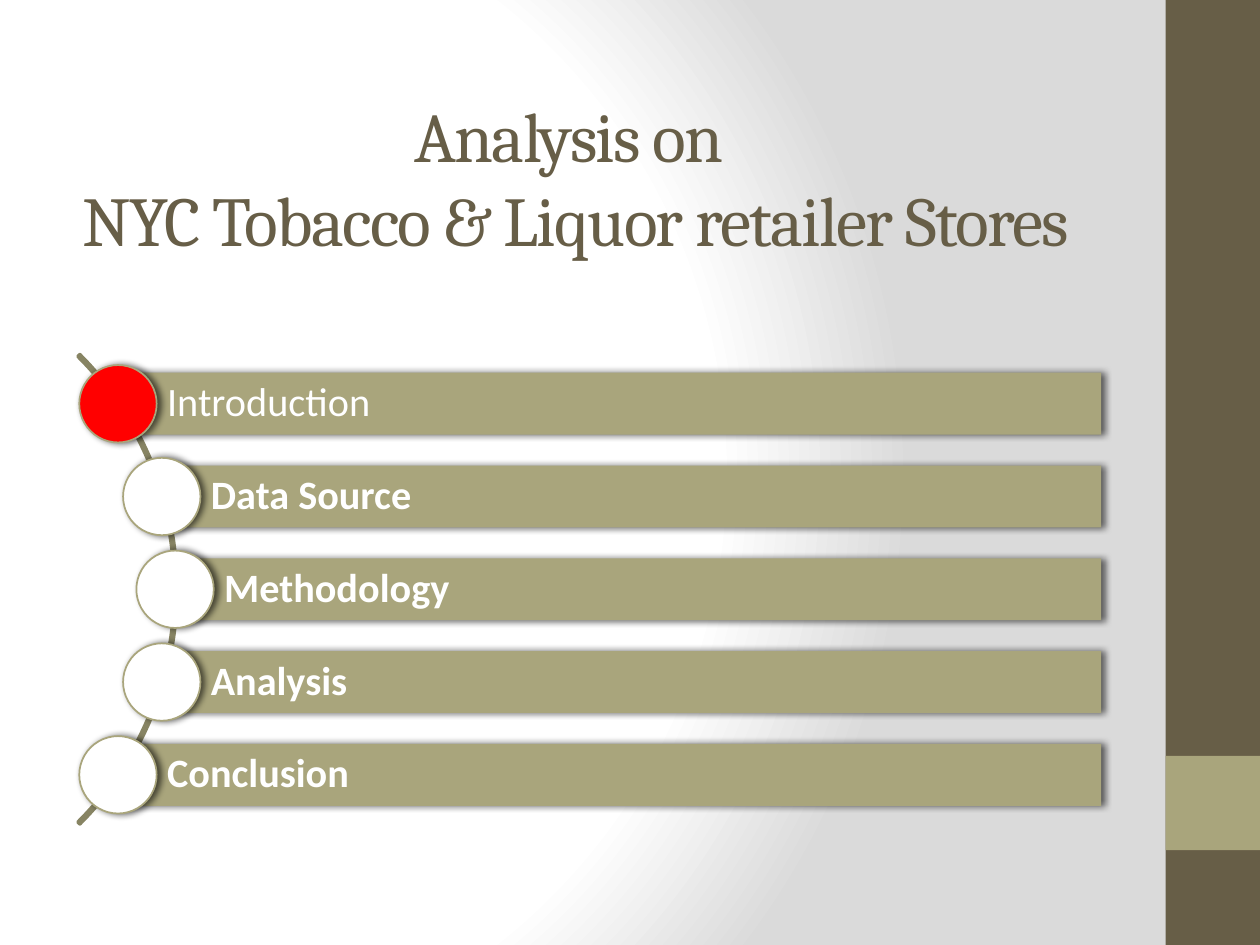
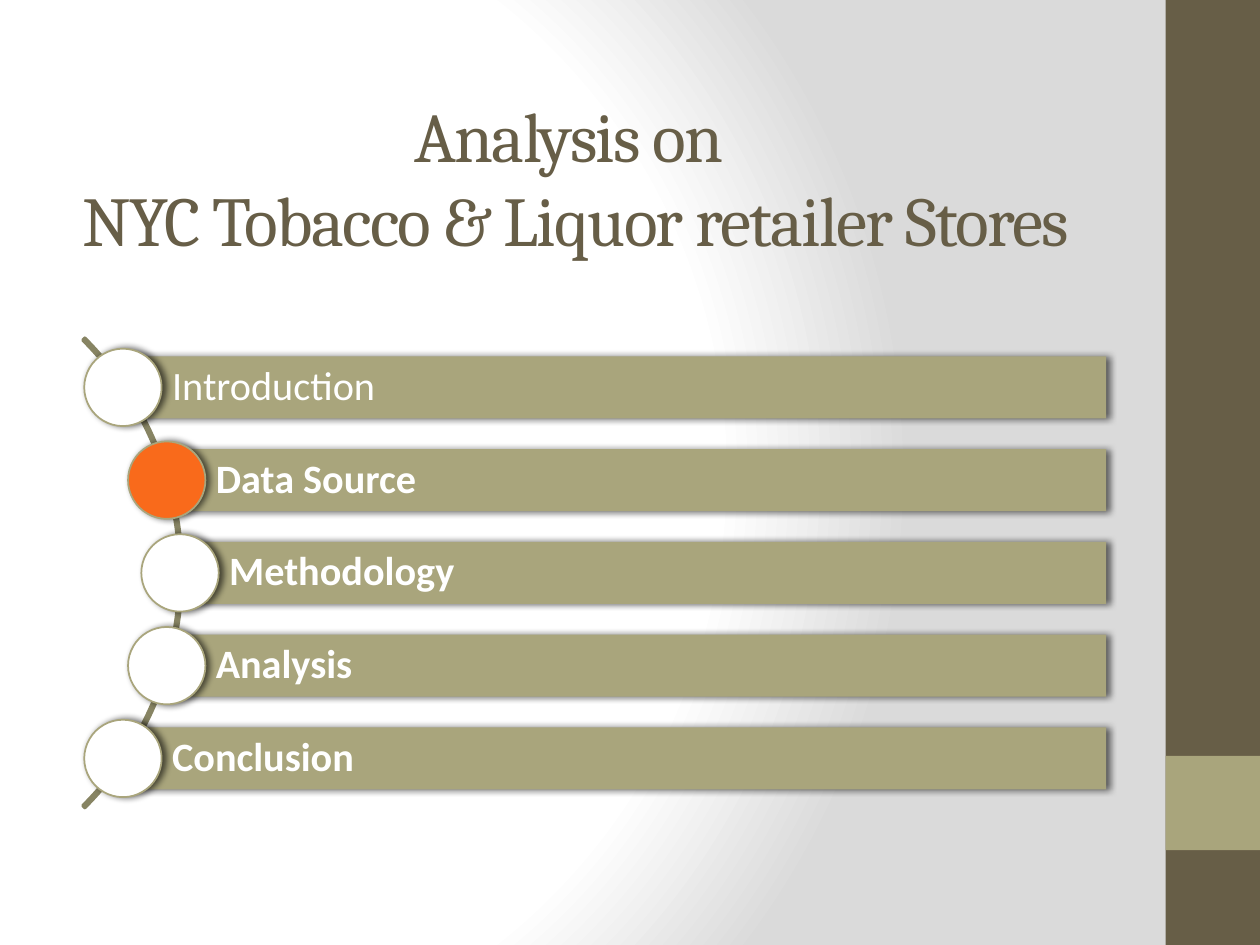
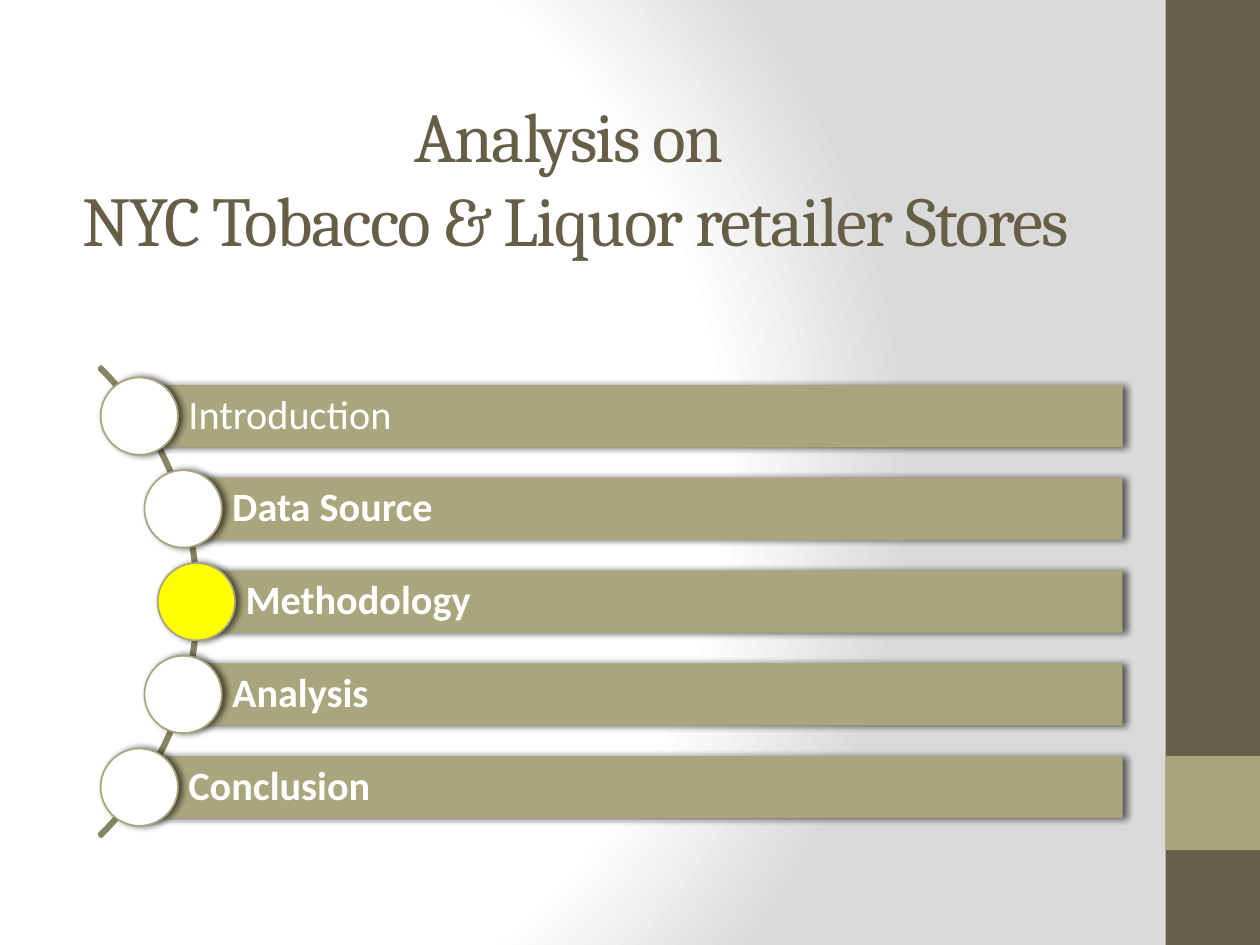
from math import sqrt

from pptx import Presentation
from pptx.dml.color import RGBColor
from pptx.enum.shapes import MSO_SHAPE
from pptx.enum.text import MSO_ANCHOR, PP_ALIGN
from pptx.oxml import parse_xml
from pptx.oxml.ns import nsdecls, qn
from pptx.util import Cm, Pt

WHITE = RGBColor(0xFF, 0xFF, 0xFF)
GREY = RGBColor(0xDA, 0xDA, 0xDA)
BROWN = RGBColor(0x67, 0x5E, 0x47)
OLIVE = RGBColor(0xA9, 0xA5, 0x7C)
DARK_OLIVE = RGBColor(0x87, 0x84, 0x63)
RED = RGBColor(0xFF, 0x00, 0x00)
ORANGE = RGBColor(0xF9, 0x6A, 0x1B)
YELLOW = RGBColor(0xFF, 0xFF, 0x00)

PAGE_WIDTH, PAGE_HEIGHT = 25.4, 19.05
TITLE = "Analysis on \vNYC Tobacco & Liquor retailer Stores"
TITLE_BOX = (0.46, 1.3, 22.3, 4.52)
SIDE_BOX = (23.5, 0, 1.9, PAGE_HEIGHT)
TOPICS = ["Introduction", "Data Source", "Methodology", "Analysis", "Conclusion"]

AGENDA_WIDTH = 20.6
ROW_PITCH = 1.87
BAR_HEIGHT = 1.25
DOT_SIZE = 1.56
ARC_SIZE = 13.38
ARC_CENTRE = -4.72
DOT_ORBIT = 6.65


def add_plain_shape(shapes, kind, box, fill=None, line=None, line_width=1):
    """Add a shape without shadow, with the given fill and line."""
    shape = shapes.add_shape(kind, *(Cm(length) for length in box))
    shape.shadow.inherit = False
    if fill is None:
        shape.fill.background()
    else:
        shape.fill.solid()
        shape.fill.fore_color.rgb = fill
    if line is None:
        shape.line.fill.background()
    else:
        shape.line.color.rgb = line
        shape.line.width = Pt(line_width)
    return shape


def add_soft_shadow(shape):
    """Cast a soft black shadow to the right of the shape."""
    shape.element.spPr.find(qn("a:effectLst")).append(parse_xml(
        f'<a:outerShdw {nsdecls("a")} blurRad="{Pt(4)}" dist="{Pt(2)}" dir="0" '
        'rotWithShape="0"><a:srgbClr val="000000"><a:alpha val="60000"/>'
        '</a:srgbClr></a:outerShdw>'))


def style_span(span, name, size, color, bold=False):
    """Set the font of a run."""
    span.font.name = name
    span.font.size = Pt(size)
    span.font.color.rgb = color
    span.font.bold = bold


def add_background(page):
    """Fill the page with a round gradient from white to grey."""
    stops = "".join(
        f'<a:gs pos="{position * 1000}"><a:srgbClr val="{color}"/></a:gs>'
        for position, color in [(0, WHITE), (75, WHITE), (100, GREY)])
    page.element.cSld.insert(0, parse_xml(
        f'<p:bg {nsdecls("p", "a")}><p:bgPr><a:gradFill rotWithShape="1">'
        f'<a:gsLst>{stops}</a:gsLst><a:path path="circle">'
        '<a:fillToRect l="20000" t="50000" r="100000" b="50000"/></a:path>'
        '</a:gradFill><a:effectLst/></p:bgPr></p:bg>'))


def add_side_band(page, box):
    """Draw the brown band with its olive square."""
    left, top, width, height = box
    add_plain_shape(page.shapes, MSO_SHAPE.RECTANGLE, box, BROWN)
    square = (left, top + height * 0.8, width, width)
    add_plain_shape(page.shapes, MSO_SHAPE.RECTANGLE, square, OLIVE)


def add_title(page, box):
    """Write the deck title, centred in its box."""
    frame = page.shapes.add_textbox(*(Cm(length) for length in box)).text_frame
    frame.word_wrap = True
    frame.vertical_anchor = MSO_ANCHOR.MIDDLE
    para = frame.paragraphs[0]
    para.text = TITLE
    para.alignment = PP_ALIGN.CENTER
    for span in para.runs:
        style_span(span, "Cambria", 40, BROWN)
        span.font._element.set("spc", "-100")


def add_bar(shapes, box, topic, bold):
    """Draw one topic bar with its label."""
    bar = add_plain_shape(shapes, MSO_SHAPE.RECTANGLE, box, OLIVE)
    add_soft_shadow(bar)
    frame = bar.text_frame
    frame.text = topic
    frame.word_wrap = True
    frame.vertical_anchor = MSO_ANCHOR.MIDDLE
    frame.margin_left = Cm(0.99)
    frame.margin_top = frame.margin_right = frame.margin_bottom = Cm(0.15)
    para = frame.paragraphs[0]
    para.alignment = PP_ALIGN.LEFT
    para.line_spacing = 0.9
    style_span(para.runs[0], "Calibri", 23, WHITE, bold)


def add_agenda(page, left, top, current, highlight):
    """Draw the topics along an arc and colour the dot of the current one."""
    shapes = page.shapes.add_group_shape().shapes
    centre_x = left + ARC_CENTRE
    centre_y = top + DOT_SIZE / 2 + ROW_PITCH * (len(TOPICS) - 1) / 2
    arc_box = (centre_x - ARC_SIZE / 2, centre_y - ARC_SIZE / 2, ARC_SIZE, ARC_SIZE)
    arc = add_plain_shape(shapes, MSO_SHAPE.BLOCK_ARC, arc_box, line=DARK_OLIVE, line_width=2)
    for index, value in enumerate((189, 27, 0.004)):
        arc.adjustments[index] = value

    for row, topic in enumerate(TOPICS):
        dot_y = top + DOT_SIZE / 2 + row * ROW_PITCH
        dot_x = centre_x + sqrt(DOT_ORBIT ** 2 - (dot_y - centre_y) ** 2)
        bar_box = (dot_x, dot_y - BAR_HEIGHT / 2, left + AGENDA_WIDTH - dot_x, BAR_HEIGHT)
        add_bar(shapes, bar_box, topic, bold=row > 0)
        dot_box = (dot_x - DOT_SIZE / 2, dot_y - DOT_SIZE / 2, DOT_SIZE, DOT_SIZE)
        fill = highlight if topic == current else WHITE
        add_soft_shadow(add_plain_shape(shapes, MSO_SHAPE.OVAL, dot_box, fill, OLIVE))


def add_agenda_page(deck, left, top, current, highlight):
    """Add a page with the title and the agenda."""
    page = deck.slides.add_slide(deck.slide_layouts[6])
    add_background(page)
    add_side_band(page, SIDE_BOX)
    add_title(page, TITLE_BOX)
    add_agenda(page, left, top, current, highlight)


def main():
    """Build and save the deck."""
    deck = Presentation()
    deck.slide_width, deck.slide_height = Cm(PAGE_WIDTH), Cm(PAGE_HEIGHT)
    add_agenda_page(deck, 1.6, 7.36, "Introduction", RED)
    add_agenda_page(deck, 1.7, 7.03, "Data Source", ORANGE)
    add_agenda_page(deck, 2.03, 7.61, "Methodology", YELLOW)
    deck.save("out.pptx")


if __name__ == "__main__":
    main()
